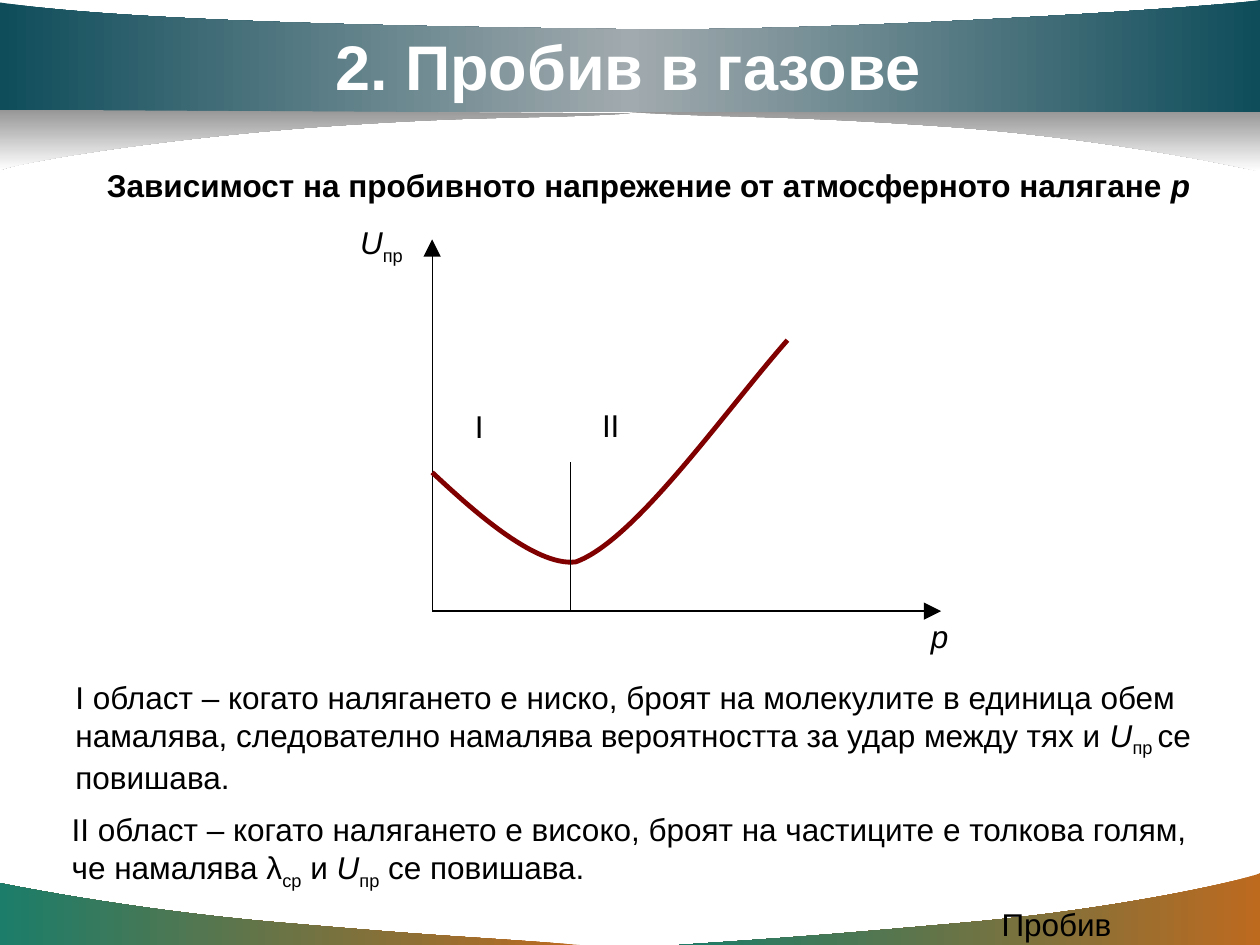
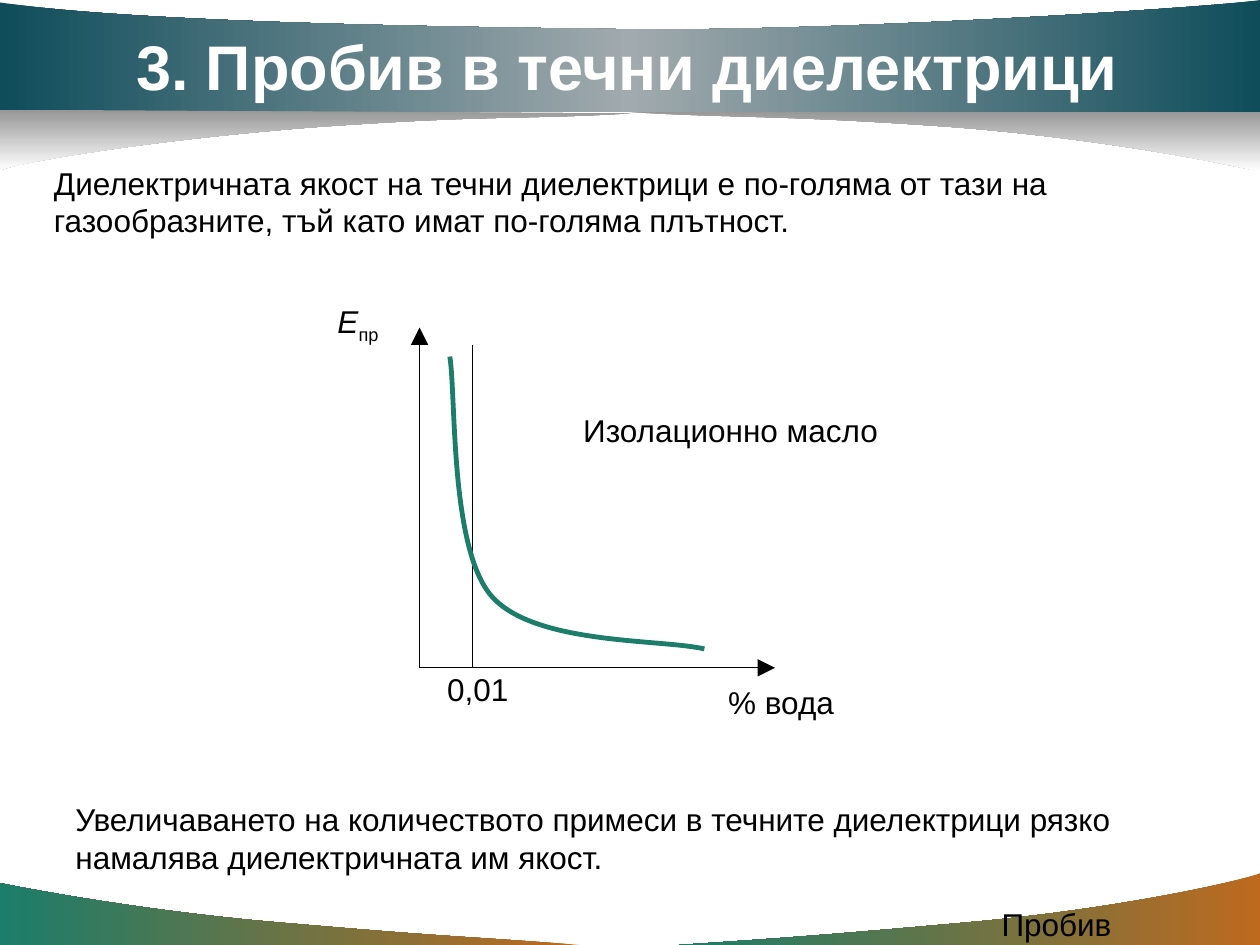
from lxml.etree import SubElement
from pptx import Presentation
from pptx.dml.color import RGBColor
from pptx.enum.shapes import MSO_CONNECTOR as Link
from pptx.enum.text import MSO_ANCHOR as Anchor, MSO_AUTO_SIZE as Fit, PP_ALIGN as Align
from pptx.oxml.ns import qn
from pptx.util import Inches, Pt

FONT = "Arial"
HEX = {
    "ink": "000000", "white": "FFFFFF", "gray": "969696",
    "teal": "0F4D5B", "steel": "A1AAAE",
    "green": "1B7D6A", "orange": "BD6A1F", "red": "800000",
}
FOOT = (("orange", "green"), 180)
SHADE = (("gray", "white"), 90)
HEAD = (("teal", "steel", "teal"), 180)
BANDS = [
    (FOOT, [(4.6, 7.5), (3.84, 7.44, 3.58, 7.44, 2.32, 7.33),
            (1.06, 7.23, 0.01, 7.01, 0, 7.01), (0, 7.5), (4.6, 7.5)]),
    (FOOT, [(5.39, 7.5), (6.14, 7.45, 6.46, 7.43, 7.69, 7.32),
            (8.92, 7.21, 9.9, 6.98, 10, 6.93), (10, 7.5), (5.39, 7.5)]),
    (SHADE, [(5, 0.89), (5.84, 0.94, 6.2, 0.91, 7.58, 1.01),
             (8.97, 1.12, 9.98, 1.36, 10, 1.36), (10, 0.88), (5, 0.89)]),
    (HEAD, [(0, 0.89), (10, 0.89), (10, 0), (9.64, 0.06, 6.53, 0.26, 4.87, 0.23),
            (3.21, 0.21, 1.01, 0.17, 0, 0.02), (0, 0.89)]),
    (SHADE, [(5, 0.9), (4.16, 0.95, 3.88, 0.91, 2.49, 1.01),
             (1.1, 1.12, 0.11, 1.3, 0, 1.35), (0, 0.87), (5, 0.9)]),
]


def color(name):
    """Return the named colour."""
    return RGBColor.from_string(HEX[name])


def draw(shapes, path, x=0, y=0, close=True):
    """Draw line and cubic segments, given relative to x, y."""
    pts = [(Inches(x + seg[n]), Inches(y + seg[n + 1]))
           for seg in path for n in range(0, len(seg), 2)]
    pen = shapes.build_freeform(*pts[0])
    pen.add_line_segments(pts[1:], close=close)
    shape = pen.convert_to_shape()
    shape.shadow.inherit = False
    shape.fill.background()
    steps = iter(list(shape._element.iter(qn("a:lnTo"))))
    for seg in path[1:]:
        first = next(steps)
        if len(seg) == 6:
            first.tag = qn("a:cubicBezTo")
            for _ in range(2):
                step = next(steps)
                first.append(step[0])
                step.getparent().remove(step)
    return shape


def band(shapes, paint, path):
    """Draw an outline filled with a linear gradient."""
    names, angle = paint
    shape = draw(shapes, path)
    shape.line.fill.background()
    props = shape._element.spPr
    blank = props.find(qn("a:noFill"))
    grad = SubElement(props, qn("a:gradFill"), rotWithShape="1")
    props.replace(blank, grad)
    stops = SubElement(grad, qn("a:gsLst"))
    for n, name in enumerate(names):
        stop = SubElement(stops, qn("a:gs"), pos=str(n * 100000 // (len(names) - 1)))
        SubElement(stop, qn("a:srgbClr"), val=HEX[name])
    SubElement(grad, qn("a:lin"), ang=str(angle * 60000), scaled="0")
    return shape


def dress(deck, slide):
    """Draw the bands and hand them over to the slide master."""
    tree = deck.slide_master.shapes._spTree
    for n, (paint, path) in enumerate(BANDS):
        item = band(slide.shapes, paint, path)._element
        item.nvSpPr.cNvPr.set("id", str(20 + n))
        tree.append(item)


def line(shapes, x1, y1, x2, y2, arrow=False):
    """Draw a thin line, with an arrowhead at its end if asked."""
    link = shapes.add_connector(
        Link.STRAIGHT, Inches(x1), Inches(y1), Inches(x2), Inches(y2))
    link.line.color.rgb = color("ink")
    link.line.width = Pt(0.75)
    if arrow:
        SubElement(link.line._get_or_add_ln(), qn("a:tailEnd"),
                   type="triangle", w="lg", len="lg")
    SubElement(link._element.spPr, qn("a:effectLst"))


def style(para, size, name, bold=False):
    """Set the font of a paragraph."""
    font = para.font
    font.name, font.size, font.bold = FONT, Pt(size), bold
    font.color.rgb = color(name)


def text(shapes, box, runs, wrap=False, bold=False):
    """Write runs, each a string or a (string, "i" or "sub") pair."""
    frame = shapes.add_textbox(*map(Inches, box)).text_frame
    frame.word_wrap = wrap
    para = frame.paragraphs[0]
    style(para, 18, "ink", bold)
    for item in runs:
        words, kind = (item, "") if isinstance(item, str) else item
        run = para.add_run()
        run.text = words
        if kind == "i":
            run.font.italic = True
        elif kind == "sub":
            run.font._element.set("baseline", "-25000")


def base(deck, title, left, width):
    """Add a slide with its title and footer."""
    slide = deck.slides.add_slide(deck.slide_layouts[5])
    text(slide.shapes, (7.85, 7.13, 2.08, 0.25), ["Пробив"], wrap=True)
    head = slide.shapes.title
    head.left, head.top, head.width, head.height = map(Inches, (left, 0.17, width, 0.7))
    frame = head.text_frame
    frame.text = title
    frame.auto_size = Fit.NONE
    frame.word_wrap = False
    frame.vertical_anchor = Anchor.TOP
    para = frame.paragraphs[0]
    para.alignment = Align.LEFT
    style(para, 36, "white", True)
    return slide


def label(shapes, x, y, labels):
    """Write short labels at offsets from x, y."""
    for dx, dy, width, runs in labels:
        text(shapes, (x + dx, y + dy, width, 0.4), runs)


def plot(slide, box, curve, name, labels):
    """Group axes, a curve and labels, placed from the lower left corner."""
    x, y, w, h = box
    shapes = slide.shapes.add_group_shape().shapes
    line(shapes, x, y, x + w, y, arrow=True)
    line(shapes, x, y, x, y - h, arrow=True)
    shape = draw(shapes, curve, x, y, close=False)
    shape.line.color.rgb = color(name)
    shape.line.width = Pt(2.75)
    label(shapes, x, y, labels)
    return shapes


def gases(deck):
    """Build the slide on breakdown in gases."""
    slide = base(deck, "2. Пробив в газове", 2.56, 4.86)
    text(slide.shapes, (0.75, 1.27, 8.85, 0.4), [
        "Зависимост на пробивното напрежение от атмосферното налягане ", ("p", "i")],
        wrap=True, bold=True)
    volt = ("U", "i")
    text(slide.shapes, (0.5, 5.33, 9.08, 1), [
        "I област – когато налягането е ниско, броят на молекулите в единица обем "
        "намалява, следователно намалява вероятността за удар между тях и ",
        volt, ("пр ", "sub"), "се повишава."], wrap=True)
    shapes = plot(
        slide, (3.43, 4.85, 4.04, 2.95),
        [(0, -1.1), (0.29, -0.83, 0.81, -0.35, 1.14, -0.39),
         (1.61, -0.56, 2.31, -1.57, 2.82, -2.15)], "red",
        [(3.86, 0, 0.34, [("p", "i")]),
         (-0.67, -3.13, 0.56, [volt, ("пр", "sub")]),
         (0.24, -1.67, 0.27, ["I"]),
         (1.25, -1.68, 0.34, ["II"])])
    line(shapes, 4.53, 3.67, 4.53, 4.85)
    text(slide.shapes, (0.47, 6.38, 9.19, 0.7), [
        "II област – когато налягането е високо, броят на частиците е толкова голям, "
        "че намалява λ", ("ср", "sub"), " и ", volt, ("пр", "sub"),
        " се повишава."], wrap=True)
    return slide


def liquids(deck):
    """Build the slide on breakdown in liquid dielectrics."""
    slide = base(deck, "3. Пробив в течни диелектрици", 0.98, 8.02)
    text(slide.shapes, (0.33, 1.25, 9.42, 0.7), [
        "Диелектричната якост на течни диелектрици е по-голяма от тази на "
        "газообразните, тъй като имат по-голяма плътност."], wrap=True)
    limit = slide.shapes.add_group_shape().shapes
    line(limit, 3.75, 2.74, 3.75, 5.29)
    label(limit, 3.45, 5.27, [(0, 0, 0.69, ["0,01"])])
    text(slide.shapes, (0.5, 6.3, 9.42, 0.7), [
        "Увеличаването на количеството примеси в течните диелектрици рязко "
        "намалява диелектричната им якост."], wrap=True)
    plot(slide, (3.33, 5.3, 2.82, 2.7),
         [(0.24, -2.47), (0.29, -2.15, 0.24, -0.95, 0.57, -0.57),
          (0.91, -0.18, 1.91, -0.23, 2.26, -0.15)], "green",
         [(2.35, 0.07, 1.05, ["% вода"]),
          (-0.75, -2.95, 0.55, [("E", "i"), ("пр", "sub")]),
          (1.2, -2.09, 2.55, ["Изолационно масло"])])


def main():
    """Build and save the deck."""
    deck = Presentation()
    deck.slide_width, deck.slide_height = Inches(10), Inches(7.5)
    dress(deck, gases(deck))
    liquids(deck)
    deck.save("out.pptx")


if __name__ == "__main__":
    main()
